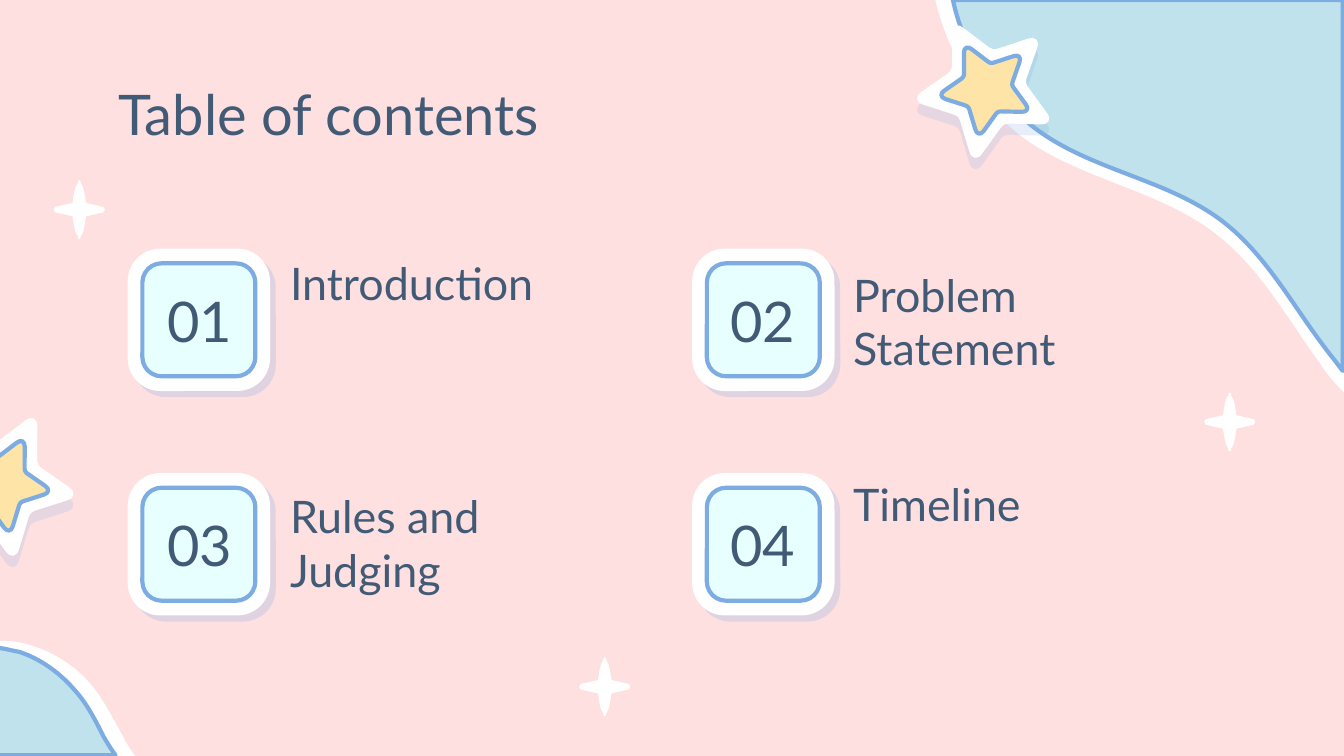
from dataclasses import dataclass
from math import cos, hypot, radians, sin

from pptx import Presentation
from pptx.dml.color import RGBColor
from pptx.enum.shapes import MSO_SHAPE as Shape
from pptx.enum.text import MSO_ANCHOR as Anchor, MSO_AUTO_SIZE as AutoSize, PP_ALIGN as Align
from pptx.oxml import parse_xml
from pptx.oxml.ns import nsdecls
from pptx.oxml.xmlchemy import OxmlElement
from pptx.util import Inches, Pt

Point = tuple[float, float]


@dataclass(frozen=True)
class Theme:
    background: str = "FFE0E1"
    white: str = "FFFFFF"
    blue: str = "BFE2EC"
    outline: str = "7CACE1"
    tile: str = "E7FFFF"
    star: str = "FEE4A7"
    text: str = "415A75"
    font: str = "Lato"
    heading_size: int = 30
    item_size: int = 24
    line_width: float = 2.25


@dataclass(frozen=True)
class Shadow:
    opacity: int
    distance: float
    direction: int


@dataclass(frozen=True)
class Blob:
    fill: str
    outlined: bool
    curve: list[Point]
    corners: list[Point]


@dataclass(frozen=True)
class Star:
    center: Point
    scale: float
    angle: float


@dataclass(frozen=True)
class Topic:
    number: str
    label: str
    label_width: float
    label_height: float


THEME = Theme()
TILE_SHADOW = Shadow(24, 4.5, 47)
STAR_SHADOW = Shadow(19, 6, 90)
TILE_COLUMNS, TILE_ROWS = (0.95, 5.15), (1.85, 3.52)
LABEL_COLUMNS, LABEL_ROWS = (2.06, 6.25), (1.87, 3.52)
TOPICS = [
    Topic("01", "Introduction", 2.8, 0.46),
    Topic("02", "Problem Statement", 2.8, 1.04),
    Topic("03", "Rules and Judging", 2.44, 1.04),
    Topic("04", "Timeline", 2.8, 0.46),
]
BLOBS = [
    Blob(THEME.white, False, [
        (-0.08, 5.63), (-0.09, 5.62), (-0.1, 5.6), (-0.12, 5.59), (-0.18, 5.5), (-0.24, 5.41),
        (-0.28, 5.32), (-0.32, 5.22), (-0.34, 5.11), (-0.31, 5.01), (-0.27, 4.9), (-0.19, 4.82),
        (-0.09, 4.79), (-0.05, 4.77), (-0.01, 4.77), (0.04, 4.77), (0.1, 4.77), (0.16, 4.78),
        (0.22, 4.8), (0.4, 4.85), (0.57, 4.96), (0.69, 5.11), (0.78, 5.22), (0.84, 5.35),
        (0.91, 5.47), (0.94, 5.53), (0.97, 5.58), (1.01, 5.63)], []),
    Blob(THEME.blue, True, [
        (-0.14, 5.62), (-0.15, 5.61), (-0.17, 5.6), (-0.18, 5.58), (-0.23, 5.5), (-0.29, 5.42),
        (-0.33, 5.33), (-0.37, 5.24), (-0.38, 5.14), (-0.35, 5.04), (-0.32, 4.95), (-0.25, 4.87),
        (-0.16, 4.84), (-0.12, 4.83), (-0.08, 4.82), (-0.04, 4.82), (0.02, 4.82), (0.08, 4.84),
        (0.14, 4.85), (0.3, 4.9), (0.45, 5.01), (0.56, 5.14), (0.65, 5.24), (0.71, 5.36),
        (0.77, 5.48), (0.8, 5.53), (0.83, 5.58), (0.86, 5.62)], []),
    Blob(THEME.white, False, [
        (6.96, 0), (7.06, 0.43), (7.32, 0.83), (7.68, 1.07), (8.11, 1.35), (8.66, 1.43),
        (9.06, 1.75), (9.38, 2), (9.58, 2.37), (9.82, 2.7), (9.87, 2.78), (9.93, 2.85),
        (10, 2.92)], [(10, 0)]),
    Blob(THEME.blue, True, [
        (7.09, 0), (7.18, 0.41), (7.43, 0.78), (7.78, 1.01), (8.19, 1.28), (8.71, 1.35),
        (9.1, 1.65), (9.41, 1.89), (9.6, 2.24), (9.83, 2.55), (9.88, 2.62), (9.94, 2.69),
        (9.99, 2.76)], [(9.99, 0)]),
]
STARS = [Star((0.01, 3.6), 1.04, -63.5), Star((7.34, 0.66), 1, 243.5)]
SPARKLES = [(0.59, 1.56), (4.5, 5.11), (9.15, 3.14)]
SPARKLE_QUARTER = [
    (0, -0.22), (0.01, -0.22), (0.01, -0.21), (0.01, -0.2), (0.04, -0.16), (0.04, -0.1),
    (0.05, -0.05), (0.09, -0.04), (0.14, -0.03), (0.18, -0.02), (0.19, -0.01), (0.19, -0.01),
    (0.19, 0)]


def paint(shape, fill: str, outlined: bool = False, shadow: Shadow | None = None) -> None:
    shape.fill.solid()
    shape.fill.fore_color.rgb = RGBColor.from_string(fill)
    if outlined:
        shape.line.color.rgb = RGBColor.from_string(THEME.outline)
        shape.line.width = Pt(THEME.line_width)
    else:
        shape.line.fill.background()
    shape.shadow.inherit = False
    if shadow:
        shape._element.spPr.find("{*}effectLst").append(parse_xml(
            f'<a:outerShdw {nsdecls("a")} blurRad="0" dist="{Pt(shadow.distance)}" '
            f'dir="{shadow.direction * 60000}" algn="bl" rotWithShape="0">'
            f'<a:srgbClr val="{THEME.outline}"><a:alpha val="{shadow.opacity * 1000}"/>'
            '</a:srgbClr></a:outerShdw>'))


def add_curve(slide, curve: list[Point], corners: list[Point] = ()):
    """Add a closed outline: a start and cubic Bézier triples, then straight corners."""
    points = [(Inches(x), Inches(y)) for x, y in [*curve, *corners]]
    builder = slide.shapes.build_freeform(*points[0], scale=1.0)
    builder.add_line_segments(points[1:], close=True)
    shape = builder.convert_to_shape()
    segments = shape._element.xpath(".//a:lnTo")[:len(curve) - 1]
    for first in range(0, len(segments), 3):
        bezier = OxmlElement("a:cubicBezTo")
        segments[first].addprevious(bezier)
        for segment in segments[first:first + 3]:
            bezier.append(segment[0])
            segment.getparent().remove(segment)
    return shape


def toward(start: Point, end: Point, distance: float) -> Point:
    share = distance / hypot(end[0] - start[0], end[1] - start[1])
    return tuple(a + (b - a) * share for a, b in zip(start, end))


def star_curve(star: Star, scale: float) -> list[Point]:
    """Round each corner of a five-pointed star; straight edges are flat Béziers."""
    vertices = []
    for index in range(10):
        radius = (0.29 if index % 2 else 0.58) * scale
        angle = radians(star.angle + 36 * index)
        vertices.append((star.center[0] + radius * cos(angle), star.center[1] + radius * sin(angle)))
    curve = []
    for index, vertex in enumerate(vertices):
        before, after = vertices[index - 1], vertices[(index + 1) % 10]
        trim = (0.03 if index % 2 else 0.11) * scale
        entry, leave = toward(vertex, before, trim), toward(vertex, after, trim)
        if curve:
            curve += [curve[-1], entry]
        curve += [entry, toward(vertex, before, trim * 0.45), toward(vertex, after, trim * 0.45), leave]
    return curve


def add_star(slide, star: Star) -> None:
    paint(add_curve(slide, star_curve(star, star.scale)), THEME.white, shadow=STAR_SHADOW)
    paint(add_curve(slide, star_curve(star, star.scale * 0.65)), THEME.star, outlined=True)


def add_sparkle(slide, center: Point) -> None:
    half = SPARKLE_QUARTER + [(x, -y) for x, y in SPARKLE_QUARTER[-2::-1]]
    whole = half + [(-x, y) for x, y in half[-2::-1]]
    paint(add_curve(slide, [(center[0] + x, center[1] + y) for x, y in whole]), THEME.white)


def write(shape, text: str, size: int, align=Align.LEFT, anchor=Anchor.MIDDLE) -> None:
    frame = shape.text_frame
    frame.text = text
    frame.word_wrap, frame.auto_size, frame.vertical_anchor = True, AutoSize.NONE, anchor
    frame.margin_left = frame.margin_right = frame.margin_top = frame.margin_bottom = Inches(0.1)
    paragraph = frame.paragraphs[0]
    paragraph.alignment = align
    font = paragraph.runs[0].font
    font.name, font.size = THEME.font, Pt(size)
    font.color.rgb = RGBColor.from_string(THEME.text)


def add_tile(slide, left: float, top: float, size: float, corner: float):
    tile = slide.shapes.add_shape(Shape.ROUNDED_RECTANGLE, *map(Inches, (left, top, size, size)))
    tile.adjustments[0] = corner
    return tile


def add_topic(slide, topic: Topic, row: int, column: int) -> None:
    left, top = TILE_COLUMNS[column], TILE_ROWS[row]
    label_left, label_top = LABEL_COLUMNS[column], LABEL_ROWS[row]
    paint(add_tile(slide, left, top, 1.06, 0.23), THEME.white, shadow=TILE_SHADOW)
    paint(add_tile(slide, left + 0.11, top + 0.11, 0.84, 0.17), THEME.tile, outlined=True)
    number = slide.shapes.add_textbox(*map(Inches, (label_left - 1.05, top + 0.27, 0.95, 0.52)))
    write(number, topic.number, THEME.heading_size, Align.CENTER)
    label = slide.shapes.add_textbox(
        *map(Inches, (label_left, label_top, topic.label_width, topic.label_height)))
    write(label, topic.label, THEME.item_size)


def main() -> None:
    presentation = Presentation()
    presentation.slide_width = Inches(10)
    presentation.slide_height = presentation.slide_width * 9 // 16
    slide = presentation.slides.add_slide(presentation.slide_layouts[5])
    slide.background.fill.solid()
    slide.background.fill.fore_color.rgb = RGBColor.from_string(THEME.background)
    title = slide.shapes.title
    title.left, title.top, title.width, title.height = map(Inches, (0.78, 0.49, 8.44, 0.63))
    write(title, "Table of contents", THEME.heading_size, anchor=Anchor.TOP)
    for blob in BLOBS:
        paint(add_curve(slide, blob.curve, blob.corners), blob.fill, blob.outlined)
    for star in STARS:
        add_star(slide, star)
    for center in SPARKLES:
        add_sparkle(slide, center)
    for index, topic in enumerate(TOPICS):
        add_topic(slide, topic, *divmod(index, 2))
    presentation.save("out.pptx")


if __name__ == "__main__":
    main()
